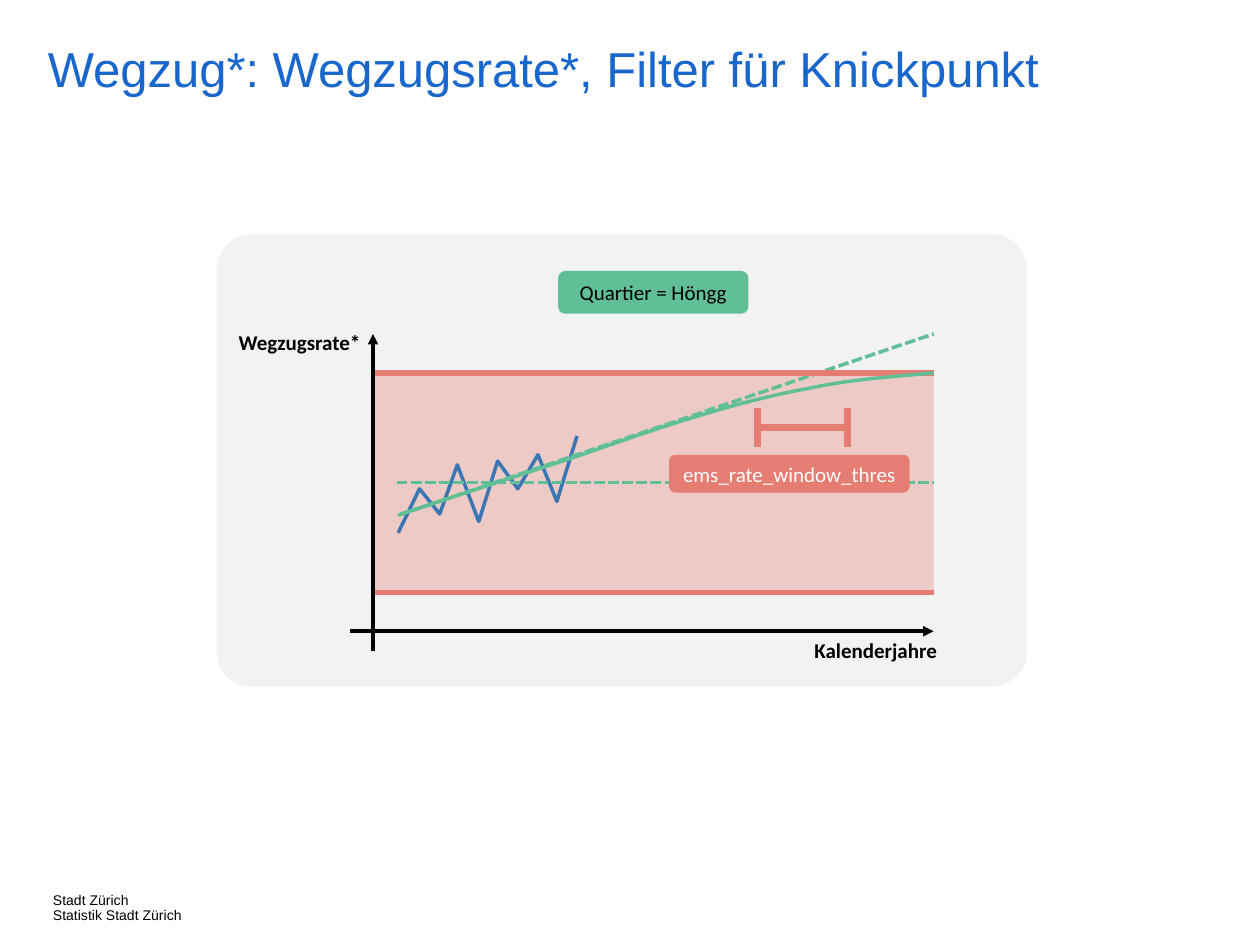
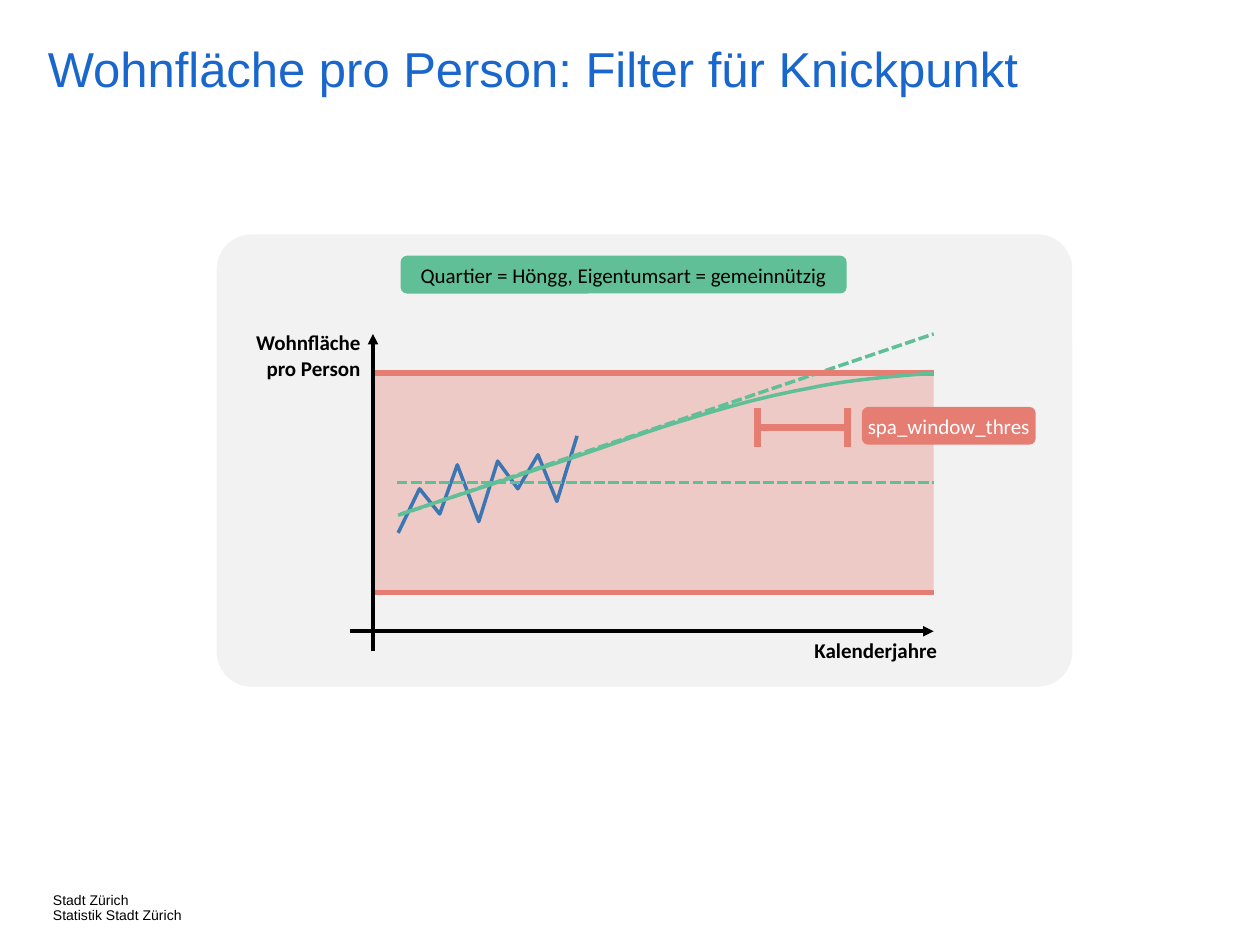
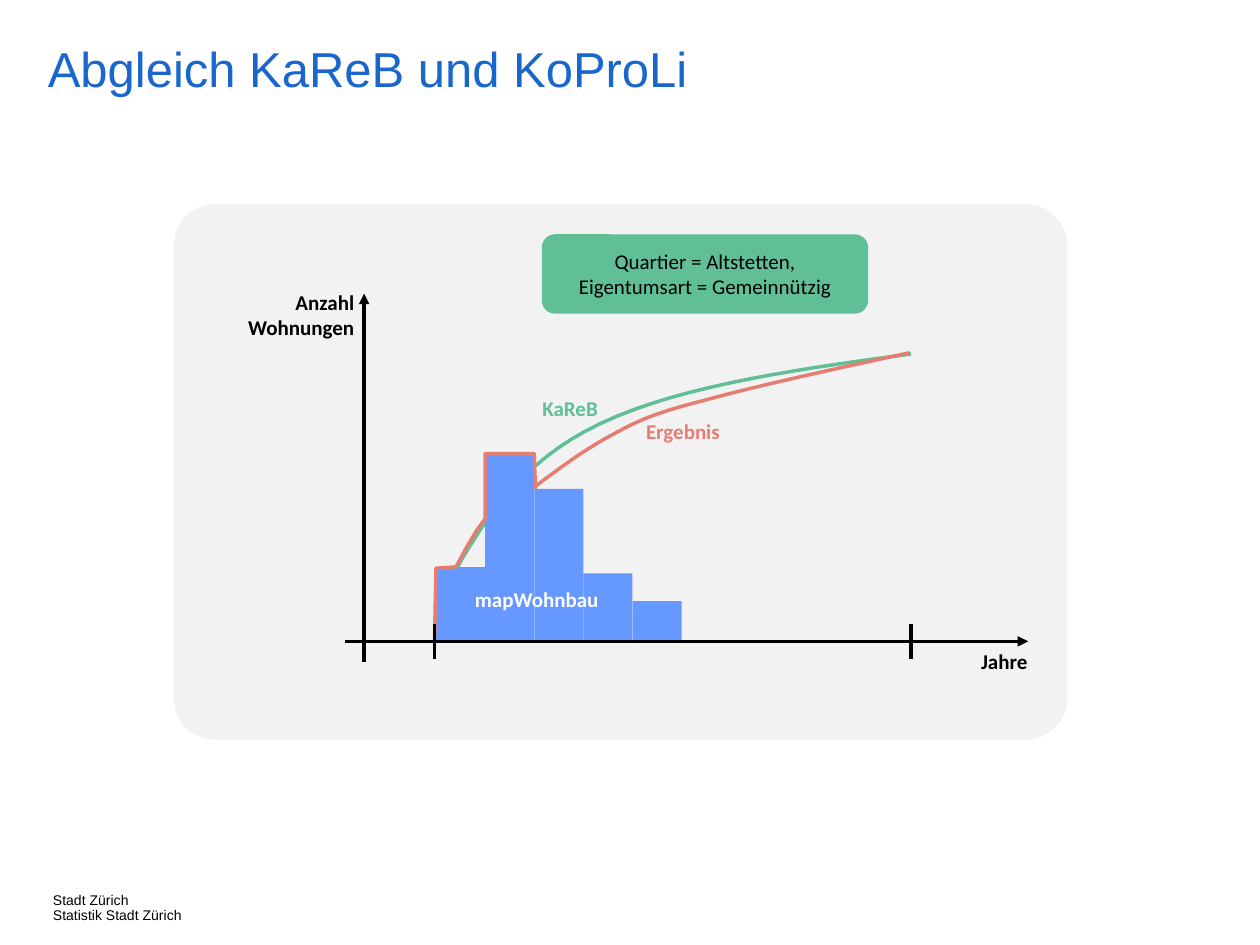
from dataclasses import dataclass

from lxml import etree
from pptx import Presentation
from pptx import util as u
from pptx.dml.color import RGBColor
from pptx.enum import dml, shapes, text
from pptx.oxml import ns

PX = u.Inches(1) // 100
CURVE_STEPS = 16


@dataclass(frozen=True)
class Theme:
    heading: str = "1966CC"
    ink: str = "000000"
    paper: str = "FFFFFF"
    panel: str = "F2F2F2"
    red: str = "E67D73"
    green: str = "60BF97"
    history: str = "3B76B3"
    bar: str = "6699FF"
    heading_font: str = "Arial"
    label_font: str = "Calibri"
    title_size: int = 28
    label_size: int = 12
    footer_size: int = 8
    spacing: float = 0.9
    band_opacity: int = 34
    panel_rounding: float = 0.077


THEME = Theme()
LEFT, CENTER, RIGHT = (text.PP_ALIGN.LEFT, text.PP_ALIGN.CENTER, text.PP_ALIGN.RIGHT)
RECT, ROUNDED = (shapes.MSO_SHAPE.RECTANGLE, shapes.MSO_SHAPE.ROUNDED_RECTANGLE)


@dataclass(frozen=True)
class Box:
    left: int
    top: int
    width: int
    height: int

    @property
    def right(self) -> int:
        return self.left + self.width

    @property
    def bottom(self) -> int:
        return self.top + self.height

    def emu(self) -> tuple:
        return tuple(n * PX for n in (self.left, self.top, self.width, self.height))


@dataclass(frozen=True)
class Stroke:
    color: str
    width: int = 2
    dashed: bool = False
    arrow: bool = False


@dataclass(frozen=True)
class Label:
    wording: str
    box: Box
    align: text.PP_ALIGN = CENTER
    color: str = THEME.ink
    bold: bool = True


@dataclass(frozen=True)
class Pill:
    wording: str
    box: Box
    fill: str = THEME.green
    color: str = THEME.ink


@dataclass(frozen=True)
class FilterSlide:
    title: str
    panel_width: int
    axis_label: Label
    selection: Pill
    threshold: Pill


AXIS = Stroke(THEME.ink, arrow=True)
TICK = Stroke(THEME.ink)
TREND = Stroke(THEME.green)
TREND_DASHED = Stroke(THEME.green, dashed=True)
LIMIT = Stroke(THEME.red, 3)
INTERVAL = Stroke(THEME.red, 4)
HISTORY = Stroke(THEME.history)
RESULT = Stroke(THEME.red)

TITLE_BOX = Box(38, 36, 840, 64)
FOOTER_BOX = Box(42, 709, 131, 20)
FOOTER_LINES = ("Stadt Zürich", "Statistik Stadt Zürich")

BAND = Box(296, 296, 445, 174)
HISTORY_POINTS = [(316, 423), (333, 388), (349, 408), (363, 369), (380, 414),
                  (395, 366), (411, 388), (427, 361), (442, 398), (458, 346)]
# A point with two values is a straight step, one with six a Bézier step.
DAMPED_TREND = [(318, 408), (434, 370), (472, 358, 511, 343, 545, 333),
                (580, 322, 610, 314, 643, 308), (676, 301, 708, 299, 741, 296)]

BASELINE, FIRST_YEAR, LAST_YEAR = 509, 345, 723
BAR_LEFT, BAR_WIDTH = 346, 39
BAR_HEIGHTS = (59, 150, 121, 54, 32)
KAREB_CURVE = [(345, 483), (374, 429, 402, 376, 465, 342), (528, 308, 625, 294, 723, 281)]
RESULT_START = [(345, 506), (346, 451), (362, 450), (370, 435), (379, 420),
                (385, 412), (385, 360), (424, 360), (425, 388)]
RESULT_CURVE = [(425, 386), (445, 371, 465, 356, 488, 344),
                (510, 332, 523, 327, 562, 317), (602, 306, 662, 293, 722, 280)]

FILTER_SLIDES = (
    FilterSlide("Wegzug*: Wegzugsrate*, Filter für Knickpunkt", 643,
                Label("Wegzugsrate*", Box(172, 257, 124, 30), RIGHT),
                Pill("Quartier = Höngg", Box(443, 215, 151, 34)),
                Pill("ems_rate_window_thres", Box(531, 361, 191, 30), THEME.red, THEME.paper)),
    FilterSlide("Wohnfläche pro Person: Filter für Knickpunkt", 679,
                Label("Wohnfläche pro Person", Box(172, 257, 124, 50), RIGHT),
                Pill("Quartier = Höngg, Eigentumsart = gemeinnützig", Box(318, 203, 354, 30)),
                Pill("spa_window_thres", Box(684, 323, 138, 30), THEME.red, THEME.paper)),
)


def set_font(para, font_name: str, size: int, color: str, bold: bool = False) -> None:
    para.font.name = font_name
    para.font.size = u.Pt(size)
    para.font.bold = bold
    para.font.color.rgb = RGBColor.from_string(color)


def clear_insets(frame) -> None:
    frame.margin_left = frame.margin_top = frame.margin_right = frame.margin_bottom = 0


def style_line(line, stroke: Stroke) -> None:
    line.color.rgb = RGBColor.from_string(stroke.color)
    line.width = u.Pt(stroke.width)
    if stroke.dashed:
        line.dash_style = dml.MSO_LINE.SQUARE_DOT


def add_block(canvas, kind, box: Box, color: str):
    block = canvas.add_shape(kind, *box.emu())
    block.shadow.inherit = False
    block.fill.solid()
    block.fill.fore_color.rgb = RGBColor.from_string(color)
    block.line.fill.background()
    return block


def add_panel(canvas, box: Box) -> None:
    add_block(canvas, ROUNDED, box, THEME.panel).adjustments[0] = THEME.panel_rounding


def add_line(canvas, x1: int, y1: int, x2: int, y2: int, stroke: Stroke):
    line = canvas.add_connector(shapes.MSO_CONNECTOR.STRAIGHT,
                                x1 * PX, y1 * PX, x2 * PX, y2 * PX)
    style_line(line.line, stroke)
    if stroke.arrow:
        etree.SubElement(line.line._get_or_add_ln(), ns.qn("a:tailEnd"), type="triangle")
    etree.SubElement(line._element.spPr, ns.qn("a:effectLst"))
    return line


def flatten(steps: list) -> list:
    """Turn straight and Bézier steps into the points of one polyline."""
    points = [steps[0]]
    for step in steps[1:]:
        if len(step) == 2:
            points.append(step)
            continue
        start, first, second, end = points[-1], step[:2], step[2:4], step[4:]
        for n in range(1, CURVE_STEPS + 1):
            t = n / CURVE_STEPS
            weights = ((1 - t) ** 3, 3 * t * (1 - t) ** 2, 3 * t * t * (1 - t), t ** 3)
            points.append(tuple(
                sum(w * p[axis] for w, p in zip(weights, (start, first, second, end)))
                for axis in (0, 1)))
    return points


def add_curve(canvas, steps: list, stroke: Stroke) -> None:
    points = [(round(x * PX), round(y * PX)) for x, y in flatten(steps)]
    builder = canvas.build_freeform(*points[0])
    builder.add_line_segments(points[1:], close=False)
    curve = builder.convert_to_shape()
    curve.shadow.inherit = False
    curve.fill.background()
    style_line(curve.line, stroke)


def add_label(canvas, label: Label) -> None:
    frame = canvas.add_textbox(*label.box.emu()).text_frame
    frame.word_wrap = True
    frame.auto_size = text.MSO_AUTO_SIZE.SHAPE_TO_FIT_TEXT
    para = frame.paragraphs[0]
    para.text = label.wording
    para.alignment = label.align
    set_font(para, THEME.label_font, THEME.label_size, label.color, label.bold)


def add_pill(canvas, pill: Pill) -> None:
    frame = add_block(canvas, ROUNDED, pill.box, pill.fill).text_frame
    clear_insets(frame)
    frame.word_wrap = True
    frame.vertical_anchor = text.MSO_ANCHOR.MIDDLE
    para = frame.paragraphs[0]
    para.text = pill.wording
    para.alignment = CENTER
    set_font(para, THEME.label_font, THEME.label_size, pill.color)


def add_footer(page) -> None:
    frame = page.shapes.add_textbox(*FOOTER_BOX.emu()).text_frame
    clear_insets(frame)
    frame.word_wrap = False
    for n, wording in enumerate(FOOTER_LINES):
        para = frame.add_paragraph() if n else frame.paragraphs[0]
        para.text = wording
        para.line_spacing = THEME.spacing
        set_font(para, THEME.heading_font, THEME.footer_size, THEME.ink)


def start_page(deck, title: str):
    """Add a slide with title and footer; return the shapes of its diagram group."""
    page = deck.slides.add_slide(deck.slide_layouts.get_by_name("Title Only"))
    holder = page.shapes.title
    holder.left, holder.top, holder.width, holder.height = TITLE_BOX.emu()
    frame = holder.text_frame
    clear_insets(frame)
    frame.word_wrap = True
    frame.auto_size = text.MSO_AUTO_SIZE.NONE
    frame.vertical_anchor = text.MSO_ANCHOR.TOP
    para = frame.paragraphs[0]
    para.text = title
    para.alignment = LEFT
    para.line_spacing = THEME.spacing
    set_font(para, THEME.heading_font, THEME.title_size, THEME.heading)
    add_footer(page)
    return page.shapes.add_group_shape().shapes


def add_band(canvas):
    band = add_block(canvas, RECT, BAND, THEME.red)
    color = band.fill._xPr.find(ns.qn("a:solidFill"))[0]
    etree.SubElement(color, ns.qn("a:alpha"), val=str(THEME.band_opacity * 1000))
    return band


def add_interval(canvas, left: int, right: int, middle: int) -> None:
    add_line(canvas, left, middle, right, middle, INTERVAL)
    for x in (left, right):
        add_line(canvas, x, middle - 15, x, middle + 16, INTERVAL)


def build_filter_slide(deck, content: FilterSlide) -> None:
    canvas = start_page(deck, content.title)
    add_panel(canvas, Box(172, 186, content.panel_width, 359))
    band = add_band(canvas)
    add_line(canvas, 278, 501, BAND.right, 501, AXIS)
    add_label(canvas, Label("Kalenderjahre", Box(633, 501, 124, 30)))
    add_label(canvas, content.axis_label)
    add_curve(canvas, HISTORY_POINTS, HISTORY)
    mean = add_line(canvas, 315, 383, BAND.right, 383, TREND_DASHED)
    mean.end_connect(band, 3)
    add_line(canvas, 316, 409, BAND.right, 265, TREND_DASHED)
    for limit in (BAND.bottom, BAND.top):
        add_line(canvas, BAND.left, limit, BAND.right, limit, LIMIT)
    add_line(canvas, BAND.left, 517, BAND.left, 265, AXIS)
    add_interval(canvas, 601, 673, 339)
    add_curve(canvas, DAMPED_TREND, TREND)
    add_pill(canvas, content.threshold)
    add_pill(canvas, content.selection)


def build_comparison_slide(deck) -> None:
    canvas = start_page(deck, "Abgleich KaReB und KoProLi")
    add_panel(canvas, Box(138, 162, 709, 425))
    add_line(canvas, 289, 525, 289, 233, AXIS)
    add_pill(canvas, Pill("Quartier = Altstetten,\nEigentumsart = Gemeinnützig",
                          Box(430, 186, 259, 63)))
    add_curve(canvas, KAREB_CURVE, TREND)
    for n, height in enumerate(BAR_HEIGHTS):
        bar = Box(BAR_LEFT + n * BAR_WIDTH, BASELINE - height, BAR_WIDTH, height)
        add_block(canvas, RECT, bar, THEME.bar)
    add_line(canvas, 274, BASELINE, 816, BASELINE, AXIS)
    add_curve(canvas, RESULT_CURVE, RESULT)
    add_curve(canvas, RESULT_START, RESULT)
    for year in (FIRST_YEAR, LAST_YEAR):
        add_line(canvas, year, BASELINE - 14, year, BASELINE + 14, TICK)
    for label in (
        Label("Anzahl Wohnungen", Box(138, 225, 153, 50), RIGHT),
        Label("Jahre", Box(755, 510, 84, 30)),
        Label("KaReB", Box(404, 309, 97, 30), color=THEME.green),
        Label("mapWohnbau", Box(365, 461, 122, 30), color=THEME.paper),
        Label("Ergebnis", Box(458, 327, 168, 30), color=THEME.red),
    ):
        add_label(canvas, label)


def main() -> None:
    deck = Presentation()
    deck.slide_width, deck.slide_height = 1000 * PX, 750 * PX
    for content in FILTER_SLIDES:
        build_filter_slide(deck, content)
    build_comparison_slide(deck)
    deck.save("out.pptx")


if __name__ == "__main__":
    main()
